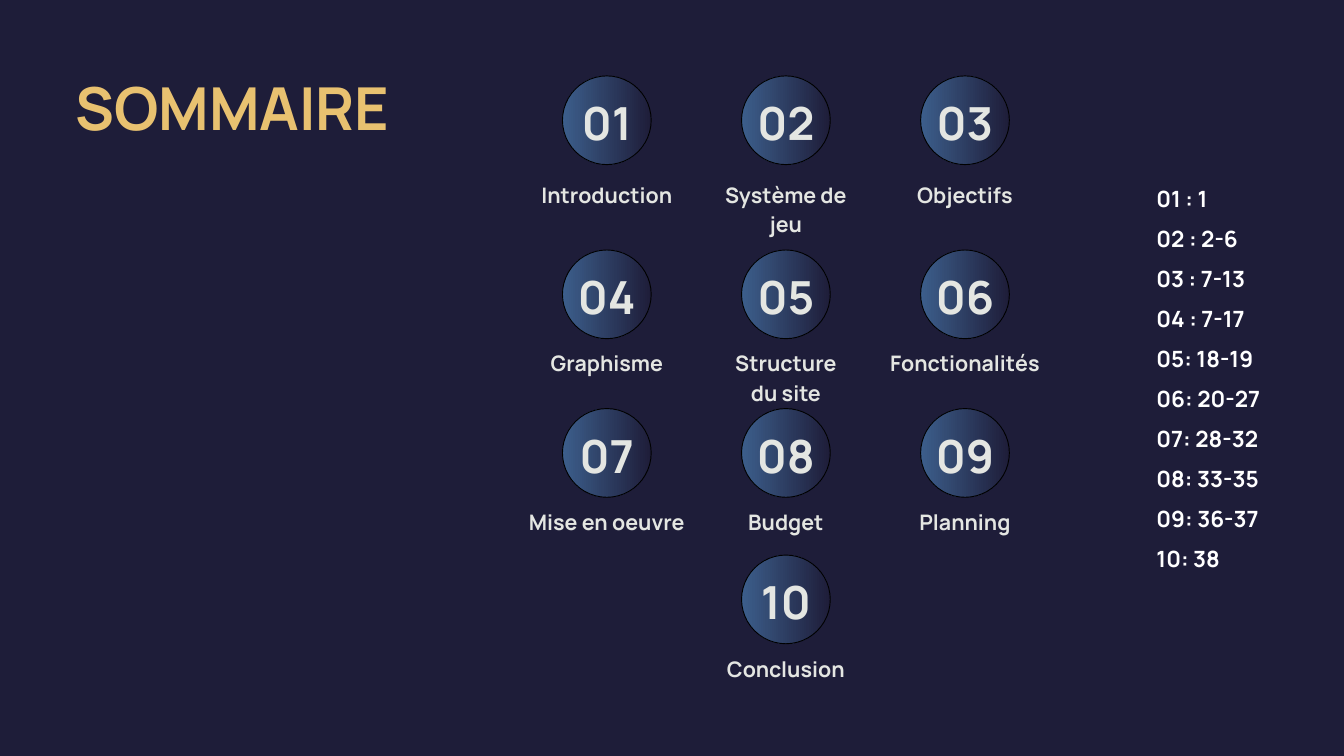
from pptx import Presentation
from pptx.dml.color import RGBColor
from pptx.enum import shapes, text
from pptx.util import Inches, Pt

COLORS = {
    "background": "1E1D39",
    "blue": "3C5E8B",
    "gold": "E8C170",
    "pale": "E4E6E2",
    "white": "FFFFFF",
    "outline": "000000",
}
ALIGN = text.PP_ALIGN
STYLES = {
    "title": (63.4, 76, "gold", ALIGN.LEFT),
    "number": (48.8, 67.4, "pale", ALIGN.CENTER),
    "label": (22.9, 31.6, "pale", ALIGN.CENTER),
    "page": (24, 33.1, "white", ALIGN.JUSTIFY),
}
FRAME_FORMAT = {
    "margin_left": 0,
    "margin_top": 0,
    "margin_right": 0,
    "margin_bottom": 0,
    "word_wrap": True,
}
CIRCLE = 1.32
LABEL_WIDTH = 2.16
CHAPTER_ROWS = [
    (0, 1.52, [("Introduction", LABEL_WIDTH), ("Système de jeu", LABEL_WIDTH), ("Objectifs", LABEL_WIDTH)]),
    (2.59, 1.44, [("Graphisme", 2.55), ("Structure du site", 1.68), ("Fonctionalités", 2.58)]),
    (4.95, 1.44, [("Mise en oeuvre", 2.51), ("Budget", LABEL_WIDTH), ("Planning", LABEL_WIDTH)]),
    (7.13, 1.45, [("Conclusion", LABEL_WIDTH)]),
]
PAGES = [
    "01 : 1", "02 : 2-6", "03 : 7-13", "04 : 7-17", "05: 18-19",
    "06: 20-27", "07: 28-32", "08: 33-35", "09: 36-37", "10: 38",
]


def color(name):
    return RGBColor.from_string(COLORS[name])


def add_text(slide, box, wording, style):
    size, spacing, color_name, alignment = STYLES[style]
    frame = slide.shapes.add_textbox(*map(Inches, box)).text_frame
    for name, value in FRAME_FORMAT.items():
        setattr(frame, name, value)
    paragraph = frame.paragraphs[0]
    paragraph.text = wording
    paragraph.alignment = alignment
    paragraph.line_spacing = Pt(spacing)
    font = paragraph.runs[0].font
    font_format = {"name": "Manrope", "size": Pt(size), "bold": True}
    for name, value in font_format.items():
        setattr(font, name, value)
    font.color.rgb = color(color_name)


def add_circle(slide, left, top):
    box = map(Inches, (left, top, CIRCLE, CIRCLE))
    shape = slide.shapes.add_shape(shapes.MSO_SHAPE.OVAL, *box)
    shape.shadow.inherit = False
    shape.fill.gradient()
    shape.fill.gradient_angle = 0
    for stop, name in zip(shape.fill.gradient_stops, ("blue", "background")):
        stop.color.rgb = color(name)
    shape.line.color.rgb = color("outline")
    shape.line.width = Pt(1)


def add_chapter(slide, center, top, number, label, label_width, label_offset):
    add_circle(slide, center - CIRCLE / 2, top)
    add_text(slide, (center - 1.57 / 2, top + 0.16, 1.57, 0.91), f"{number:02}", "number")
    label_box = (center - label_width / 2, top + label_offset, label_width, 0.42)
    add_text(slide, label_box, label, "label")


def add_chapters(slide, box):
    left, top, width, _ = box
    pitch = (width - CIRCLE) / 2
    number = 1
    for row_offset, label_offset, chapters in CHAPTER_ROWS:
        first_column = (3 - len(chapters)) // 2
        for column, (label, label_width) in enumerate(chapters, first_column):
            center = left + CIRCLE / 2 + column * pitch
            add_chapter(slide, center, top + row_offset, number, label, label_width, label_offset)
            number += 1


def add_pages(slide, box):
    left, top, width, height = box
    line_height = 0.45
    pitch = (height - line_height) / (len(PAGES) - 1)
    for index, wording in enumerate(PAGES):
        add_text(slide, (left, top + index * pitch, width, line_height), wording, "page")


def main():
    presentation = Presentation()
    presentation.slide_width = Inches(20)
    presentation.slide_height = Inches(11.25)
    slide = presentation.slides.add_slide(presentation.slide_layouts[6])
    slide.background.fill.solid()
    slide.background.fill.fore_color.rgb = color("background")
    add_text(slide, (1.12, 1.06, 5.08, 1.11), "SOMMAIRE", "title")
    add_chapters(slide, (8.37, 1.13, 6.65, 9))
    add_pages(slide, (17.21, 2.69, 1.66, 5.81))
    presentation.save("out.pptx")


if __name__ == "__main__":
    main()
